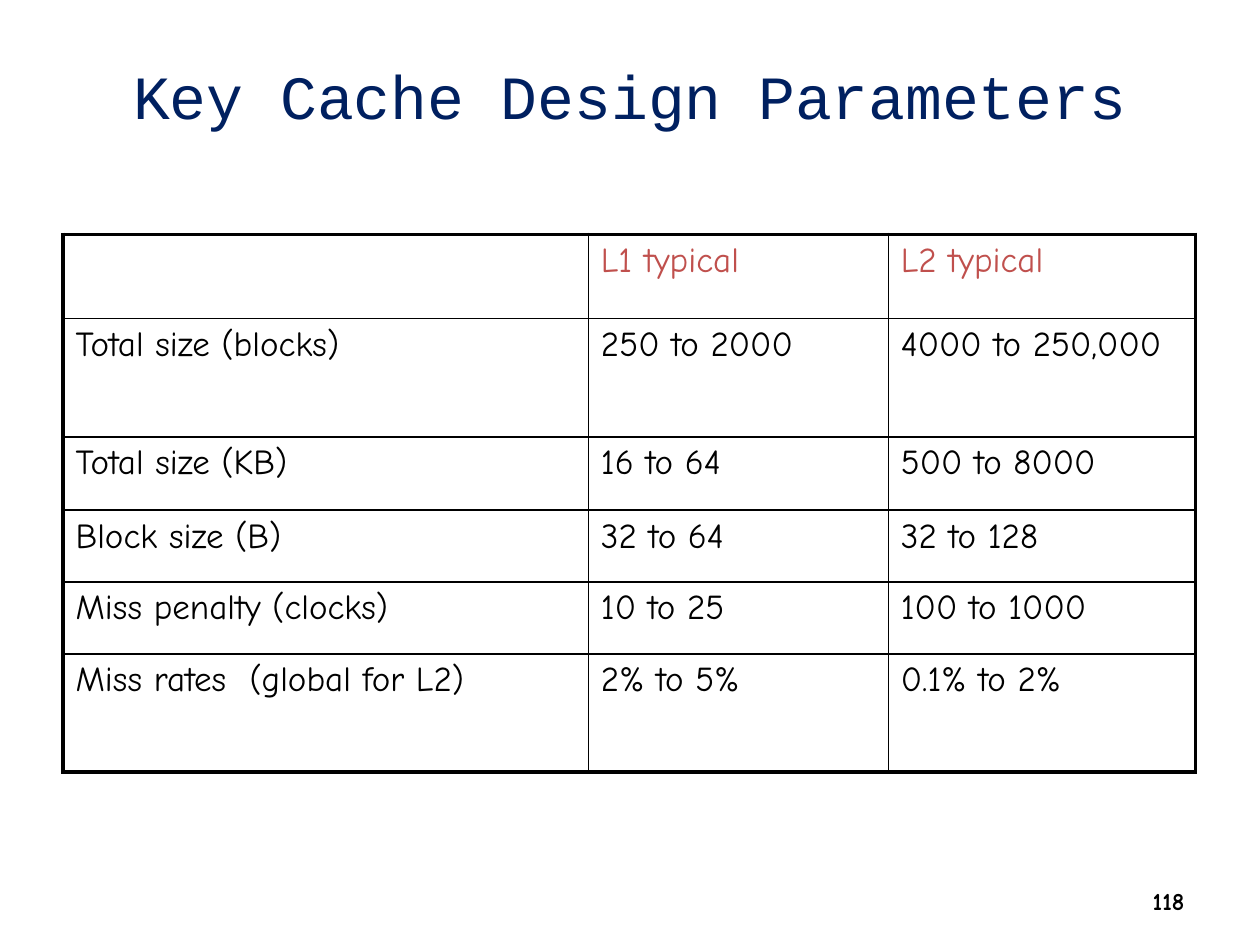
from lxml.etree import SubElement
from pptx import Presentation
from pptx.dml.color import RGBColor
from pptx.enum.text import MSO_ANCHOR, PP_ALIGN
from pptx.oxml.ns import qn
from pptx.util import Inches, Pt

BLACK = RGBColor(0x00, 0x00, 0x00)
NAVY = RGBColor(0x00, 0x20, 0x60)
RED = RGBColor(0xC0, 0x50, 0x4D)

TITLE = "Key Cache Design Parameters"
PAGE_NUMBER = "118"
ROWS = [
    ("", "L1 typical", "L2 typical"),
    ("Total size (blocks)", "250 to 2000", "4000 to 250,000"),
    ("Total size (KB)", "16 to 64", "500 to 8000"),
    ("Block size (B)", "32 to 64", "32 to 128"),
    ("Miss penalty (clocks)", "10 to 25", "100 to 1000"),
    ("Miss rates  (global for L2)", "2% to 5%", "0.1% to 2%"),
]
COL_WIDTHS = [4.17, 2.38, 2.44]
ROW_HEIGHTS = [0.67, 0.94, 0.58, 0.57, 0.57, 0.94]
OUTER, INNER = Pt(2.25), Pt(1)

TITLE_FONT = {"name": "Courier New", "size": Pt(35.1), "bold": False}
CELL_FONT = {"name": "Comic Neue", "size": Pt(20), "bold": False}
NUMBER_FONT = {"name": "Comic Neue", "size": Pt(14), "bold": True}


def write(tf, text, font, color, align, anchor):
    tf.word_wrap = True
    tf.vertical_anchor = anchor
    p = tf.paragraphs[0]
    p.alignment = align
    r = p.add_run()
    r.text = text
    for key, value in font.items():
        setattr(r.font, key, value)
    r.font.color.rgb = color


def set_borders(cell, widths):
    """Draw black cell borders; widths maps L, R, T, B in that order."""
    tc_pr = cell._tc.get_or_add_tcPr()
    for side, width in widths.items():
        ln = SubElement(tc_pr, qn(f"a:ln{side}"), w=str(int(width)))
        fill = SubElement(ln, qn("a:solidFill"))
        SubElement(fill, qn("a:srgbClr"), val=str(BLACK))


def add_parameter_table(s):
    n_rows, n_cols = len(ROWS), len(COL_WIDTHS)
    table = s.shapes.add_table(
        n_rows, n_cols, Inches(0.5), Inches(1.86),
        Inches(sum(COL_WIDTHS)), Inches(sum(ROW_HEIGHTS))).table
    table.first_row = table.horz_banding = False
    for col, width in zip(table.columns, COL_WIDTHS):
        col.width = Inches(width)
    for row, height in zip(table.rows, ROW_HEIGHTS):
        row.height = Inches(height)
    for i, texts in enumerate(ROWS):
        for j, text in enumerate(texts):
            cell = table.cell(i, j)
            on_edge = {"L": j == 0, "R": j == n_cols - 1,
                       "T": i == 0, "B": i == n_rows - 1}
            set_borders(cell, {side: OUTER if edge else INNER
                               for side, edge in on_edge.items()})
            cell.fill.background()
            if text:
                write(cell.text_frame, text, CELL_FONT,
                      RED if i == 0 else BLACK, PP_ALIGN.LEFT, MSO_ANCHOR.TOP)


def main():
    prs = Presentation()
    prs.slide_width, prs.slide_height = Inches(10), Inches(7.5)
    s = prs.slides.add_slide(prs.slide_layouts[5])

    title = s.shapes.title
    title.left, title.top = Inches(0.75), Inches(0.42)
    title.width, title.height = Inches(8.5), Inches(0.67)
    write(title.text_frame, TITLE, TITLE_FONT, NAVY,
          PP_ALIGN.CENTER, MSO_ANCHOR.MIDDLE)

    add_parameter_table(s)

    number = s.shapes.add_textbox(
        Inches(7.17), Inches(6.95), Inches(2.33), Inches(0.4))
    write(number.text_frame, PAGE_NUMBER, NUMBER_FONT, BLACK,
          PP_ALIGN.RIGHT, MSO_ANCHOR.MIDDLE)

    prs.save("out.pptx")


if __name__ == "__main__":
    main()
